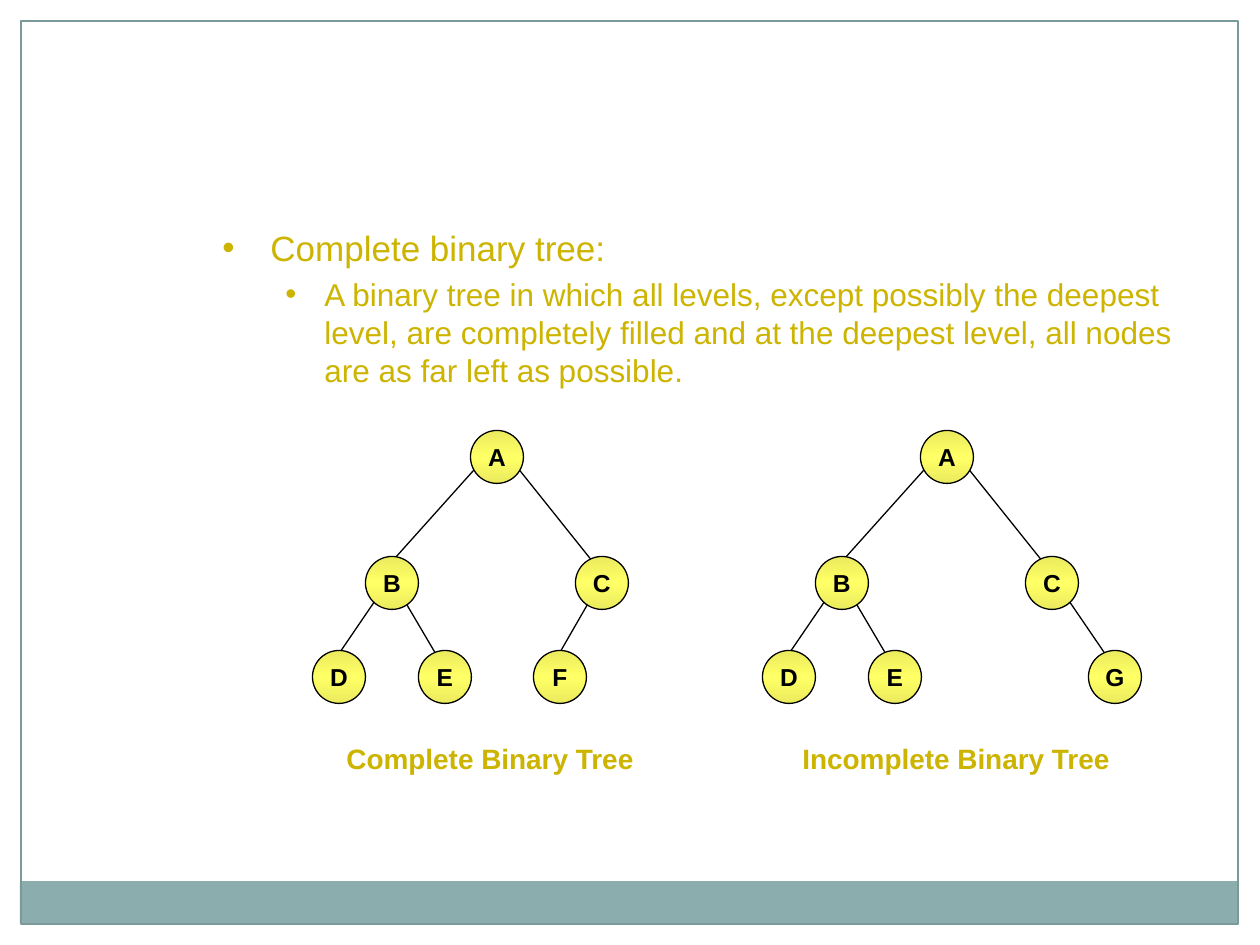
"""Builds a slide that compares a complete and an incomplete binary tree."""
from copy import deepcopy
from dataclasses import dataclass

from lxml import etree
from pptx import Presentation
from pptx import util as u
from pptx.dml.color import RGBColor
from pptx.enum import shapes, text
from pptx.oxml.ns import qn

PX = 914400 / 126


@dataclass(frozen=True)
class Theme:
    """Colours, font and type sizes of the slide."""
    font: str = "Arial"
    gold: str = "CCB400"
    black: str = "000000"
    band: str = "8CADAE"
    frame: str = "7C999A"
    node_edge: str = "EBEB5E"
    node_middle: str = "FFFF66"
    heading: int = 20
    body: int = 18
    caption: int = 16
    label: int = 14
    line: float = 0.75


THEME = Theme()
NODE_SIZE = 53
ROOT_Y = 457
NODES = {"A": (0, 0), "B": (-105, 126), "C": (105, 126), "D": (-158, 220),
         "E": (-52, 220), "F": (63, 220), "G": (168, 220)}
EDGE_STARTS = {"AB": (-6, -6), "AC": (16, 5), "BD": (-15, 15),
               "BE": (5, 5), "CF": (-5, 5), "CG": (15, 15)}
EDGE_END = (-5, -16)


def px(*lengths):
    """Turn pixel lengths into EMU."""
    return [u.Emu(round(length * PX)) for length in lengths]


def set_line(line, color):
    """Give a line its colour and the common width."""
    line.color.rgb = RGBColor.from_string(color)
    line.width = u.Pt(THEME.line)


def add_run(paragraph, words, size, color=THEME.gold, bold=False):
    """Add one formatted run to a paragraph."""
    run = paragraph.add_run()
    run.text = words
    run.font.name = THEME.font
    run.font.size = u.Pt(size)
    run.font.bold = bold
    run.font.color.rgb = RGBColor.from_string(color)


def add_panel(slide, box, fill=None, line=None):
    """Add a rectangle with an optional fill and outline."""
    shape = slide.shapes.add_shape(shapes.MSO_SHAPE.RECTANGLE, *px(*box))
    shape.shadow.inherit = False
    if fill:
        shape.fill.solid()
        shape.fill.fore_color.rgb = RGBColor.from_string(fill)
    else:
        shape.fill.background()
    if line:
        set_line(shape.line, line)
    else:
        shape.line.fill.background()


def add_text_frame(slide, box):
    """Add a wrapping text box and return its text frame."""
    frame = slide.shapes.add_textbox(*px(*box)).text_frame
    frame.word_wrap = True
    return frame


def format_bullet(paragraph, level, margin, hanging, space):
    """Give a paragraph a hanging bullet and space before it."""
    paragraph.level = level
    paragraph.space_before = u.Pt(space)
    properties = paragraph._p.get_or_add_pPr()
    left, indent = px(margin, -hanging)
    properties.set("marL", str(left))
    properties.set("indent", str(indent))
    etree.SubElement(properties, qn("a:buFont"), typeface=THEME.font)
    etree.SubElement(properties, qn("a:buChar"), char="•")


def add_definition(slide, term, meaning):
    """Add the bulleted term with its meaning below it."""
    frame = add_text_frame(slide, (210, 220, 1008, 630))
    heading = frame.paragraphs[0]
    format_bullet(heading, 0, 48, 48, 2)
    add_run(heading, term, THEME.heading)
    body = frame.add_paragraph()
    format_bullet(body, 1, 102, 39, 4)
    add_run(body, meaning, THEME.body)


def add_caption(slide, words, box, alignment):
    """Add the bold caption of a tree."""
    paragraph = add_text_frame(slide, box).paragraphs[0]
    paragraph.alignment = alignment
    paragraph.space_before = u.Pt(2)
    add_run(paragraph, words, THEME.caption, bold=True)


def fill_node(fill):
    """Fill a node with a vertical gradient that is brightest in the middle."""
    fill.gradient()
    fill.gradient_angle = 90
    first = fill.gradient_stops[0]._gs
    first.getparent().append(deepcopy(first))
    colors = (THEME.node_edge, THEME.node_middle, THEME.node_edge)
    for stop, position, color in zip(fill.gradient_stops, (0, 0.5, 1), colors):
        stop.position = position
        stop.color.rgb = RGBColor.from_string(color)


def add_node(slide, label, center_x, center_y):
    """Add a labelled round node around its centre."""
    box = px(center_x - NODE_SIZE / 2, center_y - NODE_SIZE / 2, NODE_SIZE, NODE_SIZE)
    shape = slide.shapes.add_shape(shapes.MSO_SHAPE.OVAL, *box)
    shape.shadow.inherit = False
    fill_node(shape.fill)
    set_line(shape.line, THEME.black)
    frame = shape.text_frame
    frame.word_wrap = False
    frame.vertical_anchor = text.MSO_ANCHOR.MIDDLE
    paragraph = frame.paragraphs[0]
    paragraph.alignment = text.PP_ALIGN.CENTER
    add_run(paragraph, label, THEME.label, THEME.black, bold=True)


def add_edge(slide, start, end):
    """Add a straight line between two points."""
    connector = slide.shapes.add_connector(
        shapes.MSO_CONNECTOR.STRAIGHT, *px(*start, *end))
    set_line(connector.line, THEME.black)
    etree.SubElement(connector._element.spPr, qn("a:effectLst"))


def add_tree(slide, root_x, edges):
    """Add the edges of a tree and then its nodes on top."""
    centers = {label: (root_x + x, ROOT_Y + y) for label, (x, y) in NODES.items()}
    for parent, child in edges:
        start = [a + b for a, b in zip(centers[parent], EDGE_STARTS[parent + child])]
        end = [a + b for a, b in zip(centers[child], EDGE_END)]
        add_edge(slide, start, end)
    for label in sorted(set("".join(edges))):
        add_node(slide, label, *centers[label])


def main():
    """Build and save the slide."""
    presentation = Presentation()
    presentation.slide_width, presentation.slide_height = px(1260, 945)
    slide = presentation.slides.add_slide(presentation.slide_layouts[6])
    add_panel(slide, (20, 881, 1218, 43), fill=THEME.band)
    add_panel(slide, (21, 21, 1217, 903), line=THEME.frame)
    add_definition(
        slide, "Complete binary tree:",
        "A binary tree in which all levels, except possibly the deepest level, "
        "are completely filled and at the deepest level, all nodes are as far "
        "left as possible.")
    shared_edges = ["AB", "AC", "BD", "BE"]
    add_tree(slide, 497, shared_edges + ["CF"])
    add_caption(slide, "Complete Binary Tree", (334, 735, 347, 53),
                text.PP_ALIGN.LEFT)
    add_tree(slide, 947, shared_edges + ["CG"])
    add_caption(slide, "Incomplete Binary Tree", (746, 735, 420, 53),
                text.PP_ALIGN.CENTER)
    presentation.save("out.pptx")


if __name__ == "__main__":
    main()
